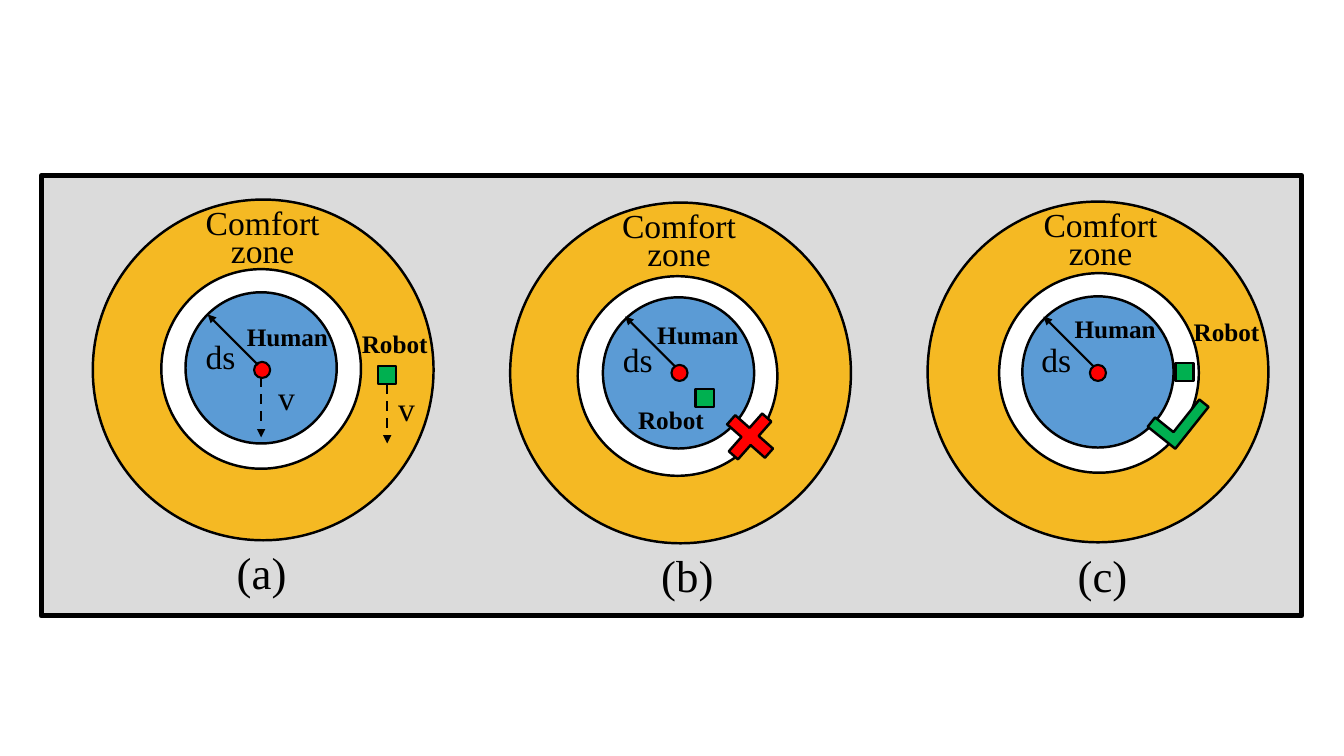
from lxml import etree
from pptx import Presentation
from pptx.dml.color import RGBColor
from pptx.enum.dml import MSO_LINE
from pptx.enum.shapes import MSO_CONNECTOR, MSO_SHAPE
from pptx.enum.text import MSO_AUTO_SIZE, PP_ALIGN
from pptx.oxml.ns import qn
from pptx.util import Inches, Pt

RECTANGLE = MSO_SHAPE.RECTANGLE
OVAL = MSO_SHAPE.OVAL
DOT = MSO_SHAPE.FLOWCHART_CONNECTOR
CROSS = MSO_SHAPE.CROSS
CORNER = MSO_SHAPE.CORNER
STRAIGHT = MSO_CONNECTOR.STRAIGHT
DASH = MSO_LINE.DASH
LEFT, CENTER = PP_ALIGN.LEFT, PP_ALIGN.CENTER
GROW = MSO_AUTO_SIZE.SHAPE_TO_FIT_TEXT

BLACK, WHITE, GREY = "000000", "FFFFFF", "DBDBDB"
ORANGE, BLUE, RED, GREEN = "F5B923", "5B9BD5", "FF0000", "00B050"

OUTER, RING, INNER = 3.38, 1.98, 1.5
DOT_SIZE, ROBOT_SIZE = 0.16, 0.18
RADIUS_REACH = 0.5
VELOCITY_LENGTH = 0.6

# Each position is the (left, top) of the element.
PANELS = [
    {"caption": ("(a)", 2.25, 5.36), "zone": (0.92, 1.98), "ring": (1.6, 2.67),
     "inner": (1.84, 2.9), "comfort": (1.54, 2.08), "dot": (2.52, 3.59),
     "radius": (2.56, 3.62), "ds": (1.94, 3.28), "human": (2.35, 3.14),
     "name": (3.49, 3.21), "robot": (3.75, 3.63)},
    {"caption": ("(b)", 6.46, 5.38), "zone": (5.06, 2.01), "ring": (5.73, 2.74),
     "inner": (5.98, 2.95), "comfort": (5.67, 2.11), "dot": (6.66, 3.62),
     "radius": (6.7, 3.64), "ds": (6.08, 3.31), "human": (6.42, 3.12),
     "name": (6.23, 3.96), "robot": (6.9, 3.86)},
    {"caption": ("(c)", 10.59, 5.38), "zone": (9.2, 2), "ring": (9.91, 2.71),
     "inner": (10.14, 2.94), "comfort": (9.85, 2.1), "dot": (10.81, 3.62),
     "radius": (10.85, 3.64), "ds": (10.23, 3.31), "human": (10.56, 3.06),
     "name": (11.74, 3.09), "robot": (11.66, 3.6)},
]


def color(value):
    return RGBColor.from_string(value)


class Diagram:
    """Draws styled elements into one group on the page."""

    def __init__(self, page, font="Times New Roman"):
        self.shapes = page.shapes.add_group_shape().shapes
        self.font = font

    def shape(self, kind, left, top, width, height, fill, line=1.75,
              rotation=0, adjust=()):
        shape = self.shapes.add_shape(kind, Inches(left), Inches(top),
                                      Inches(width), Inches(height))
        shape.shadow.inherit = False
        shape.fill.solid()
        shape.fill.fore_color.rgb = color(fill)
        shape.line.color.rgb = color(BLACK)
        shape.line.width = Pt(line)
        shape.rotation = rotation
        for index, value in enumerate(adjust):
            shape.adjustments[index] = value
        return shape

    def text(self, text, left, top, width, height, size=24, bold=False,
             align=LEFT, spacing=None):
        """Adds a text box with one paragraph for each line of text."""
        box = self.shapes.add_textbox(Inches(left), Inches(top),
                                      Inches(width), Inches(height))
        frame = box.text_frame
        frame.word_wrap = True
        frame.auto_size = GROW
        for index, line in enumerate(text.split("\n")):
            para = frame.add_paragraph() if index else frame.paragraphs[0]
            para.alignment = align
            if spacing:
                para.line_spacing = Pt(spacing)
            span = para.add_run()
            span.text = line
            span.font.name = self.font
            span.font.size = Pt(size)
            span.font.bold = bold
            span.font.color.rgb = color(BLACK)

    def arrow(self, start, end, width=1.5, dash=None):
        arrow = self.shapes.add_connector(
            STRAIGHT, *(Inches(value) for value in (*start, *end)))
        arrow.line.color.rgb = color(BLACK)
        arrow.line.width = Pt(width)
        if dash:
            arrow.line.dash_style = dash
        outline = arrow.line._get_or_add_ln()
        etree.SubElement(outline, qn("a:tailEnd"), type="triangle")
        etree.SubElement(outline.getparent(), qn("a:effectLst"))
        return arrow

    def velocity(self, x, top, label_left, label_top):
        """Adds a dashed downward arrow marked v."""
        arrow = self.arrow((x, top), (x, top + VELOCITY_LENGTH), 1.75, DASH)
        self.text("v", label_left, label_top, 0.61, 0.5)
        return arrow

    def panel(self, places):
        """Draws one human with the zones around it, and returns the robot."""
        for name, size, fill in (("zone", OUTER, ORANGE), ("ring", RING, WHITE),
                                 ("inner", INNER, BLUE)):
            self.shape(OVAL, *places[name], size, size, fill)
        caption, left, top = places["caption"]
        self.text(caption, left, top, 2.13, 0.64, size=32)
        self.text("Comfort\nzone", *places["comfort"], 2.13, 0.67,
                  align=CENTER, spacing=20)
        self.shape(DOT, *places["dot"], DOT_SIZE, DOT_SIZE, RED, line=1.5)
        x, y = places["radius"]
        self.arrow((x, y), (x - RADIUS_REACH, y - RADIUS_REACH))
        self.text("ds", *places["ds"], 0.61, 0.5)
        self.text("Human", *places["human"], 1.27, 0.4, size=18, bold=True)
        self.text("Robot", *places["name"], 1.1, 0.4, size=18, bold=True)
        return self.shape(RECTANGLE, *places["robot"], ROBOT_SIZE, ROBOT_SIZE, GREEN)


def main():
    deck = Presentation()
    deck.slide_width, deck.slide_height = Inches(13.33), Inches(7.5)
    page = deck.slides.add_slide(deck.slide_layouts[6])
    diagram = Diagram(page)
    diagram.shape(RECTANGLE, 0.41, 1.74, 12.5, 4.37, GREY, line=3.75)
    moving_robot, *_ = [diagram.panel(places) for places in PANELS]

    diagram.velocity(2.59, 3.74, 2.66, 3.69)
    robot_velocity = diagram.velocity(3.84, 3.8, 3.85, 3.8)
    robot_velocity.begin_connect(moving_robot, 2)

    diagram.shape(CROSS, 7.19, 4.08, 0.5, 0.5, RED, rotation=311.5, adjust=(0.379,))
    diagram.shape(CORNER, 11.42, 3.96, 0.53, 0.35, GREEN, rotation=308.5,
                  adjust=(0.334, 0.337))
    deck.save("out.pptx")


if __name__ == "__main__":
    main()
